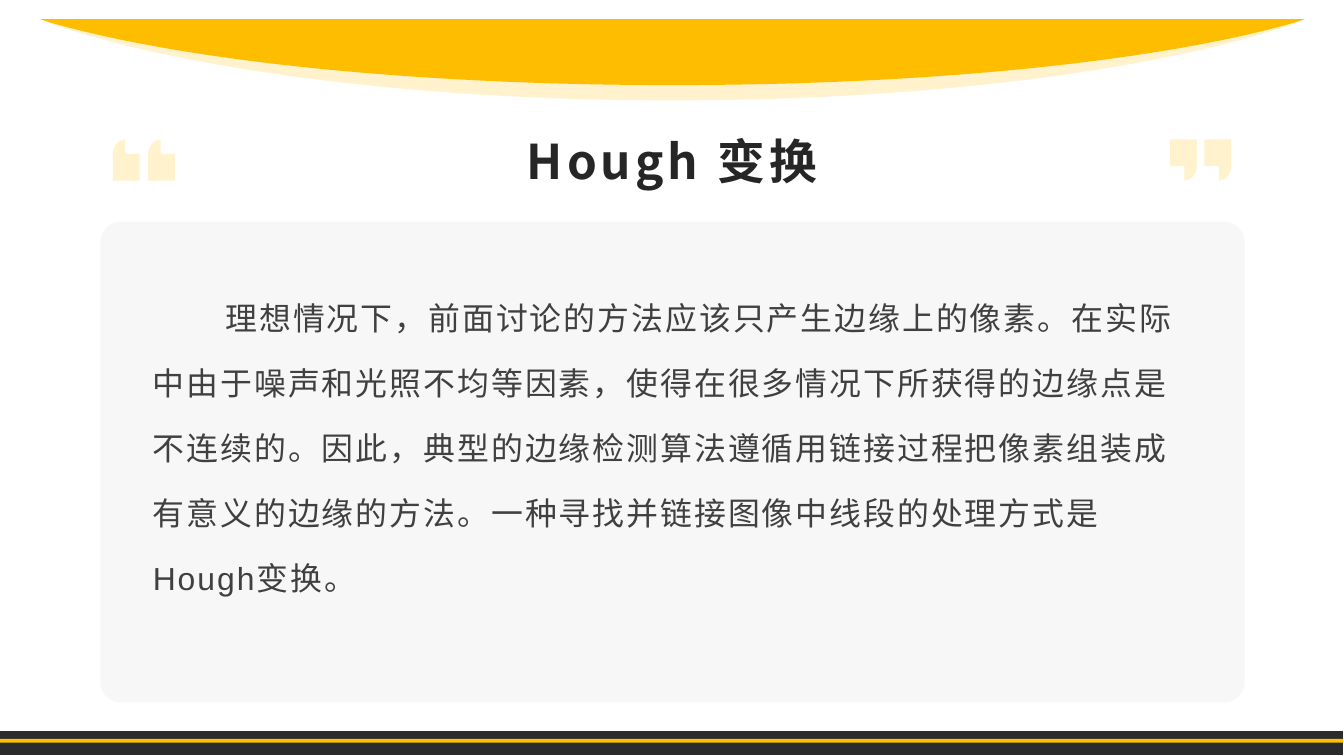
from lxml import etree
from pptx import Presentation
from pptx.dml.color import RGBColor
from pptx.enum.shapes import MSO_SHAPE
from pptx.enum.text import MSO_ANCHOR, PP_ALIGN
from pptx.oxml.ns import qn
from pptx.util import Inches, Pt

RECT, ROUNDED = MSO_SHAPE.RECTANGLE, MSO_SHAPE.ROUNDED_RECTANGLE
TOP, BOTTOM = MSO_ANCHOR.TOP, MSO_ANCHOR.BOTTOM
LEFT, CENTER = PP_ALIGN.LEFT, PP_ALIGN.CENTER

# Content
TITLE = "Hough 变换"
BODY = (
    "理想情况下，前面讨论的方法应该只产生边缘上的像素。"
    "在实际中由于噪声和光照不均等因素，使得在很多情况下所获得的边缘点是不连续的。"
    "因此，典型的边缘检测算法遵循用链接过程把像素组装成有意义的边缘的方法。"
    "一种寻找并链接图像中线段的处理方式是Hough变换。"
)
CJK_FONT, LATIN_FONT = "Noto Sans CJK SC", "Arial"
CREAM, GOLD, DARK = "FFF2CC", "FFBD00", "2A2B2D"

SLIDE_W, SLIDE_H = 14.06, 7.91
FOOTER_BARS = [(7.65, 0.09, DARK), (7.73, 0.09, "FFC000"), (7.77, 0.13, DARK)]

# Arches: shoulder, curve control and lowest heights
ARCH_TOP, ARCH_LEFT, ARCH_RIGHT = 0.2, 0.42, 13.65
CREAM_ARCH, GOLD_ARCH = (0.25, 0.73, 1.05), (0.24, 0.64, 0.89)

# Quote marks: the curve starts after the third corner
QUOTE_W, QUOTE_H, QUOTE_TOP = 0.28, 0.43, 1.46
OPENING_QUOTES, CLOSING_QUOTES = [1.18, 1.55], [12.24, 12.6]
CLOSING_MARK = [(0, 0), (0.28, 0), (0.28, 0.27),
                (0.28, 0.41), (0.17, 0.43), (0.15, 0.43),
                (0.15, 0.28), (0, 0.28)]

prs = Presentation()
prs.slide_width, prs.slide_height = Inches(SLIDE_W), Inches(SLIDE_H)
slide = prs.slides.add_slide(prs.slide_layouts[6])


def rgb(color):
    return RGBColor.from_string(color)


def paint(shape, color):
    shape.fill.solid()
    shape.fill.fore_color.rgb = rgb(color)
    shape.line.fill.background()
    shape.shadow.inherit = False


def add_block(kind, left, top, width, height, color):
    block = slide.shapes.add_shape(
        kind, Inches(left), Inches(top), Inches(width), Inches(height))
    paint(block, color)
    return block


def add_outline(shapes, points, curve_starts, color):
    """Draw an outline; three points from each curve start form one curve."""
    (start_x, start_y), *rest = [(Inches(x), Inches(y)) for x, y in points]
    builder = shapes.build_freeform(start_x, start_y)
    builder.add_line_segments(rest, close=True)
    outline = builder.convert_to_shape()
    segments = list(outline._element.iter(qn("a:lnTo")))
    for start in curve_starts:
        first, *others = segments[start - 1:start + 2]
        first.tag = qn("a:cubicBezTo")
        for segment in others:
            first.append(segment[0])
            segment.getparent().remove(segment)
    paint(outline, color)


def add_arch(shoulder, control, lowest, color):
    right_half = [(13.53, shoulder), (12.12, control), (9.74, lowest)]
    left_half = [(ARCH_LEFT + ARCH_RIGHT - x, y) for x, y in reversed(right_half)]
    middle = ((ARCH_LEFT + ARCH_RIGHT) / 2, lowest)
    add_outline(slide.shapes,
                [(ARCH_LEFT, ARCH_TOP), (ARCH_RIGHT, ARCH_TOP),
                 *right_half, middle, *left_half], [3, 6], color)


def add_text(text, left, top, width, height, size, color, font, spacing,
             line_spacing, anchor=TOP, align=LEFT, bold=False):
    frame = slide.shapes.add_textbox(
        Inches(left), Inches(top), Inches(width), Inches(height)).text_frame
    frame.word_wrap = True
    frame.vertical_anchor = anchor
    paragraph = frame.paragraphs[0]
    paragraph.text = text
    paragraph.alignment = align
    paragraph.line_spacing = line_spacing
    run = paragraph.runs[0]
    run.font.size, run.font.bold, run.font.name = Pt(size), bold, font
    run.font.color.rgb = rgb(color)
    properties = run.font._element
    properties.set("spc", str(int(spacing * 100)))
    etree.SubElement(properties, qn("a:ea")).set("typeface", CJK_FONT)
    return paragraph


# Footer bars
for bar_top, bar_height, bar_color in FOOTER_BARS:
    add_block(RECT, -0.01, bar_top, SLIDE_W, bar_height, bar_color)

# Translucent panel behind the body
panel = add_block(ROUNDED, 1.05, 2.32, 11.97, 5.03, "F2F2F2")
panel.adjustments[0] = 0.042
panel_color = panel._element.spPr.find(qn("a:solidFill"))[0]
etree.SubElement(panel_color, qn("a:alpha")).set("val", "60000")

# Header arches, with title and body between them in depth
add_arch(*CREAM_ARCH, CREAM)
add_text(TITLE, 1.91, 1.18, 10.24, 0.85, 36, "262626", CJK_FONT, 3, 1.2,
         BOTTOM, CENTER, True)
body = add_text(BODY, 1.5, 2.8, 11.06, 4.06, 24, "404040", LATIN_FONT, 1.5, 1.7)
body.space_before = Pt(10)
body._p.get_or_add_pPr().set("indent", str(Inches(0.76)))
add_arch(*GOLD_ARCH, GOLD)

# Quote marks: the opening ones are the closing ones turned half round
opening_mark = [(QUOTE_W - x, QUOTE_H - y) for x, y in CLOSING_MARK]
for mark, lefts in ((CLOSING_MARK, CLOSING_QUOTES), (opening_mark, OPENING_QUOTES)):
    quote_pair = slide.shapes.add_group_shape()
    for quote_left in lefts:
        add_outline(quote_pair.shapes,
                    [(quote_left + x, QUOTE_TOP + y) for x, y in mark], [3], CREAM)

prs.save("out.pptx")
